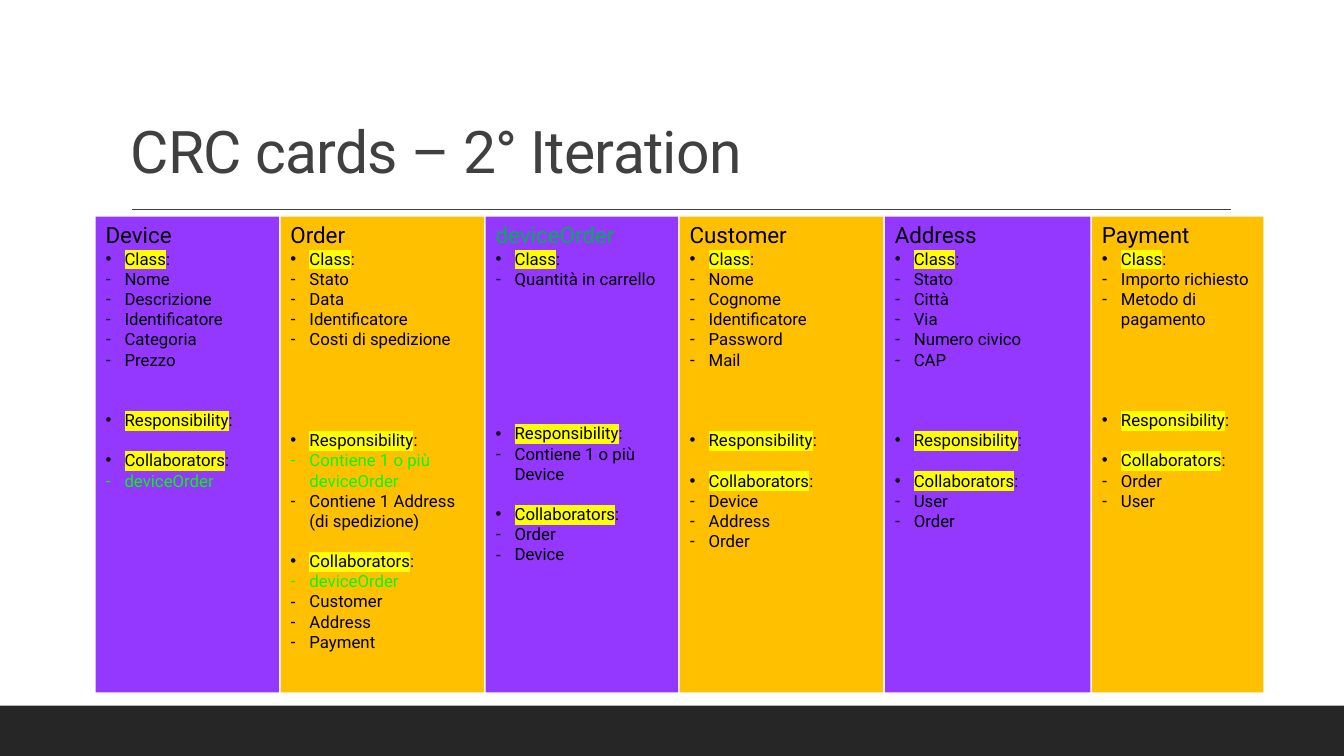
from lxml import etree
from pptx import Presentation
from pptx.dml.color import RGBColor
from pptx.enum.shapes import MSO_CONNECTOR, MSO_SHAPE
from pptx.enum.text import MSO_ANCHOR, PP_ALIGN
from pptx.oxml.ns import qn
from pptx.util import Cm, Pt

RECT = MSO_SHAPE.RECTANGLE
STRAIGHT = MSO_CONNECTOR.STRAIGHT
TOP, BOTTOM = MSO_ANCHOR.TOP, MSO_ANCHOR.BOTTOM
LEFT = PP_ALIGN.LEFT

FONT = "Roboto"
BLACK, GRAY, DARK = "000000", "404040", "262626"
PURPLE, AMBER, YELLOW = "9437FF", "FFC000", "FFFF00"
GREEN, BRIGHT_GREEN = "00B050", "00FA00"
NEW_CLASS = "deviceOrder"

CARD_LEFT, CARD_TOP, CARD_HEIGHT, CARD_GAP = 2.41, 5.46, 11.99, 0.04
INDENT = Cm(0.48)
LINE = 14.4  # height of one 12 pt line, in points

# name, width, space before responsibilities, attributes, responsibilities, collaborators
CARDS = [
    ("Device", 4.62, 2 * LINE,
     ["Nome", "Descrizione", "Identificatore", "Categoria", "Prezzo"],
     [], ["deviceOrder"]),
    ("Order", 5.13, 4 * LINE,
     ["Stato", "Data", "Identificatore", "Costi di spedizione"],
     ["Contiene 1 o più deviceOrder", "Contiene 1 Address (di spedizione)"],
     ["deviceOrder", "Customer", "Address", "Payment"]),
    ("deviceOrder", 4.85, 96,
     ["Quantità in carrello"],
     ["Contiene 1 o più Device"], ["Order", "Device"]),
    ("Customer", 5.13, 3 * LINE,
     ["Nome", "Cognome", "Identificatore", "Password", "Mail"],
     [], ["Device", "Address", "Order"]),
    ("Address", 5.18, 3 * LINE,
     ["Stato", "Città", "Via", "Numero civico", "CAP"],
     [], ["User", "Order"]),
    ("Payment", 4.32, 4 * LINE,
     ["Importo richiesto", "Metodo di pagamento"],
     [], ["Order", "User"]),
]


def rgb(color):
    return RGBColor.from_string(color)


def add_color(parent, tag, color):
    el = etree.SubElement(parent, qn(tag))
    etree.SubElement(el, qn("a:srgbClr")).set("val", color)
    return el


def style_run(r, size, color):
    r.font.size = Pt(size)
    r.font.color.rgb = rgb(color)
    r.font.name = FONT


def highlight(r, color):
    """Mark the run; the element has to stand before the font name."""
    rPr = r.font._element
    rPr.find(qn("a:latin")).addprevious(add_color(rPr, "a:highlight", color))


def outline(r, color, width):
    rPr = r.font._element
    ln = etree.Element(qn("a:ln"), w=str(Pt(width)))
    add_color(ln, "a:solidFill", color)
    rPr.insert(0, ln)


def add_bullet(p, char):
    pPr = p._p.get_or_add_pPr()
    pPr.set("marL", str(INDENT))
    pPr.set("indent", str(-INDENT))
    etree.SubElement(pPr, qn("a:buFont")).set("typeface", "Arial")
    etree.SubElement(pPr, qn("a:buChar")).set("char", char)


def add_rect(slide, left, top, width, height, fill):
    s = slide.shapes.add_shape(RECT, Cm(left), Cm(top), Cm(width), Cm(height))
    s.shadow.inherit = False
    s.fill.solid()
    s.fill.fore_color.rgb = rgb(fill)
    s.line.fill.background()
    return s


def add_rule(slide, left, right, y):
    s = slide.shapes.add_connector(STRAIGHT, Cm(left), Cm(y), Cm(right), Cm(y))
    s.line.color.rgb = rgb(GRAY)
    s.line.width = Pt(1)
    etree.SubElement(s._element.spPr, qn("a:effectLst"))


def add_title(slide, text):
    tf = slide.shapes.add_textbox(Cm(3.05), Cm(0.79), Cm(27.94), Cm(4.04)).text_frame
    tf.word_wrap = True
    tf.vertical_anchor = BOTTOM
    p = tf.paragraphs[0]
    p.text = text
    p.line_spacing = 0.9
    style_run(p.runs[0], 42, GRAY)
    p.runs[0].font._element.set("spc", "-50")


def add_section(tf, heading, items, space):
    """Add a highlighted heading and its dashed items."""
    p = tf.add_paragraph()
    add_bullet(p, "•")
    p.alignment = LEFT
    p.space_before = Pt(space)
    for text in (heading, ":"):
        r = p.add_run()
        r.text = text
        style_run(r, 12, BLACK)
    highlight(p.runs[0], YELLOW)
    for item in items:
        p = tf.add_paragraph()
        add_bullet(p, "-")
        p.alignment = LEFT
        p.text = item
        style_run(p.runs[0], 12, BRIGHT_GREEN if NEW_CLASS in item else BLACK)


def add_card(slide, left, width, fill, name, space, attributes, duties, partners):
    tf = add_rect(slide, left, CARD_TOP, width, CARD_HEIGHT, fill).text_frame
    tf.word_wrap = True
    tf.vertical_anchor = TOP
    p = tf.paragraphs[0]
    p.text = name
    p.alignment = LEFT
    r = p.runs[0]
    if name == NEW_CLASS:
        style_run(r, 16, GREEN)
        outline(r, BRIGHT_GREEN, 0.75)
    else:
        style_run(r, 16, BLACK)
    add_section(tf, "Class", attributes, 0)
    add_section(tf, "Responsibility", duties, space)
    add_section(tf, "Collaborators", partners, LINE)


def main():
    prs = Presentation()
    prs.slide_width, prs.slide_height = Cm(33.87), Cm(19.05)
    slide = prs.slides.add_slide(prs.slide_layouts[6])
    add_rect(slide, 0, 17.78, 33.87, 1.27, DARK)
    add_rule(slide, 3.33, 31.01, 5.28)
    add_title(slide, "CRC cards – 2° Iteration")
    left = CARD_LEFT
    for i, (name, width, *content) in enumerate(CARDS):
        add_card(slide, left, width, (PURPLE, AMBER)[i % 2], name, *content)
        left += width + CARD_GAP
    prs.save("out.pptx")


if __name__ == "__main__":
    main()
